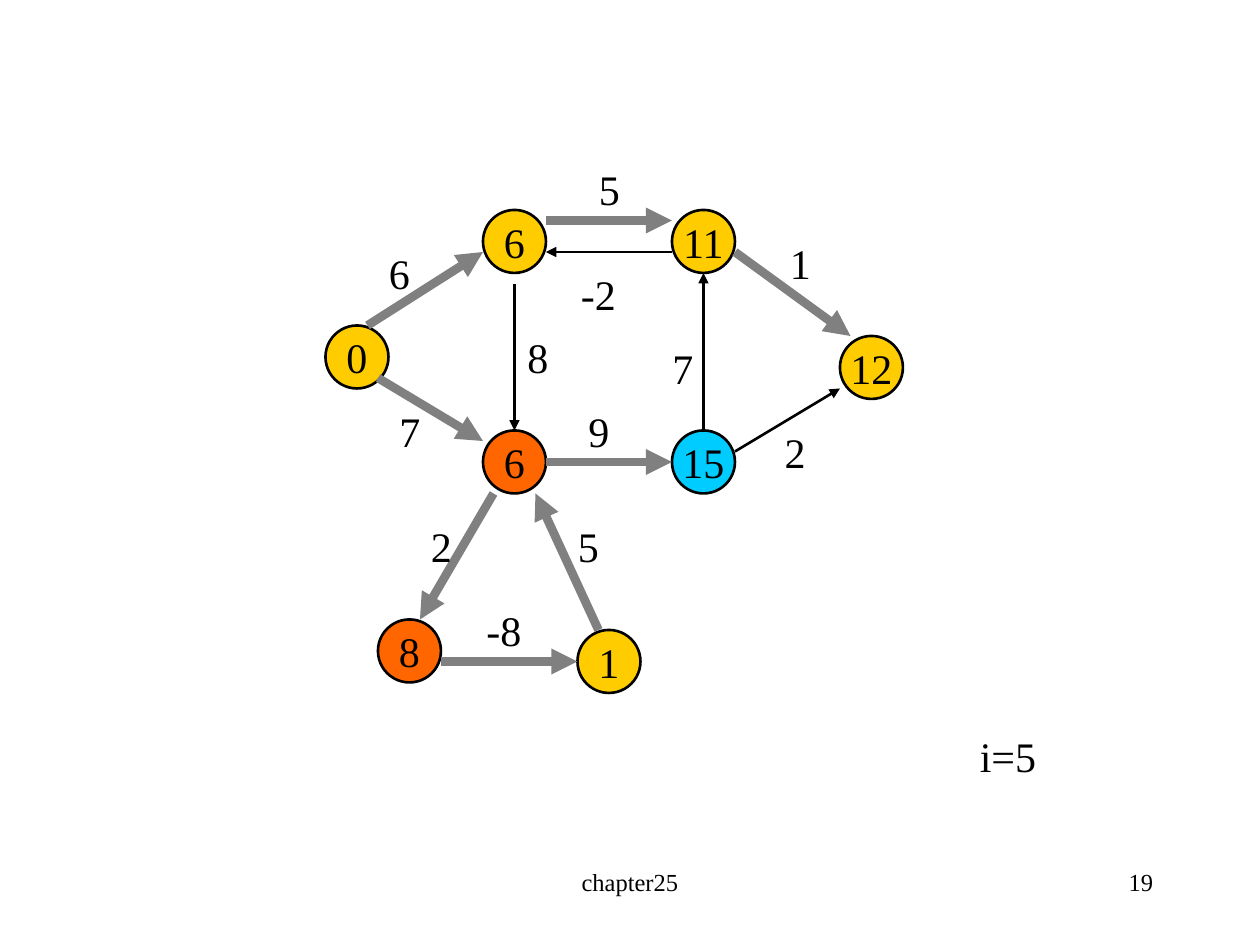
from dataclasses import dataclass

from lxml.etree import SubElement
from pptx import Presentation
from pptx.dml.color import RGBColor
from pptx.enum.shapes import MSO_CONNECTOR, MSO_SHAPE
from pptx.enum.text import MSO_ANCHOR, PP_ALIGN
from pptx.oxml.ns import qn
from pptx.util import Inches, Pt


@dataclass(frozen=True)
class Theme:
    font: str = "Times New Roman"
    ink: RGBColor = RGBColor(0x00, 0x00, 0x00)
    tree: RGBColor = RGBColor(0x80, 0x80, 0x80)
    yellow: RGBColor = RGBColor(0xFF, 0xCC, 0x00)
    orange: RGBColor = RGBColor(0xFF, 0x66, 0x00)
    blue: RGBColor = RGBColor(0x00, 0xCC, 0xFF)
    graph_size: Pt = Pt(24)
    footer_size: Pt = Pt(14)
    thin: Pt = Pt(1.5)
    thick: Pt = Pt(5)


THEME = Theme()
COLUMNS, ROWS = 120, 90
NODE = 6

# column, row, distance, fill
NODES = [
    (31, 31, "0", THEME.yellow),
    (46, 41, "6", THEME.orange),
    (46, 20, "6", THEME.yellow),
    (64, 41, "15", THEME.blue),
    (80, 32, "12", THEME.yellow),
    (64, 20, "11", THEME.yellow),
    (55, 60, "1", THEME.yellow),
    (36, 59, "8", THEME.orange),
]

# start, end, weight, weight centre, whether the edge is in the tree
EDGES = [
    ((35, 31), (46, 24), "6", (38, 26), True),
    ((36, 36), (46, 42), "7", (39, 41), True),
    ((52, 21), (64, 21), "5", (58, 18), True),
    ((64, 24), (52, 24), "-2", (57, 28), False),
    ((49, 27), (49, 41), "8", (51.2, 34), False),
    ((52, 44), (64, 44), "9", (57, 41), True),
    ((67, 41), (67, 26), "7", (65, 35), False),
    ((70, 24), (81, 32), "1", (76.2, 25), True),
    ((70, 43), (80, 37), "2", (75.7, 43), False),
    ((47, 47), (40, 59), "2", (42, 52), True),
    ((42, 63), (55, 63), "-8", (48, 60), True),
    ((57, 60), (51, 47), "5", (56, 52), True),
]


class GraphSlide:
    def __init__(self, presentation, theme):
        self.theme = theme
        self.slide = presentation.slides.add_slide(presentation.slide_layouts[6])
        self.column = presentation.slide_width / COLUMNS
        self.row = presentation.slide_height / ROWS
        self.node_tops = {}

    def place(self, *cells):
        """Turn alternating columns and rows into slide lengths."""
        units = (self.column, self.row) * 2
        return [round(cell * unit) for cell, unit in zip(cells, units)]

    def fill_text(self, shape, text, size, alignment=PP_ALIGN.CENTER, **frame_format):
        frame = shape.text_frame
        for name, value in frame_format.items():
            setattr(frame, name, value)
        paragraph = frame.paragraphs[0]
        paragraph.text = text
        paragraph.alignment = alignment
        for name, value in {"name": self.theme.font, "size": size}.items():
            setattr(paragraph.font, name, value)
        paragraph.font.color.rgb = self.theme.ink

    def text(self, left, top, width, height, text, size, **text_format):
        box = self.slide.shapes.add_textbox(*self.place(left, top, width, height))
        self.fill_text(box, text, size, **{"word_wrap": True, **text_format})

    def node(self, left, top, distance, fill):
        shape = self.slide.shapes.add_shape(
            MSO_SHAPE.OVAL, *self.place(left, top, NODE, NODE))
        shape.shadow.inherit = False
        shape.fill.solid()
        shape.fill.fore_color.rgb = fill
        shape.line.color.rgb = self.theme.ink
        shape.line.width = self.theme.thin
        self.fill_text(shape, distance, self.theme.graph_size,
                       word_wrap=False, vertical_anchor=MSO_ANCHOR.MIDDLE)
        self.node_tops[left + NODE / 2, top] = shape

    def edge(self, start, end, in_tree):
        """Draw an arrow, joined to a node where it meets the node's top."""
        connector = self.slide.shapes.add_connector(
            MSO_CONNECTOR.STRAIGHT, *self.place(*start, *end))
        connector.line.color.rgb = self.theme.tree if in_tree else self.theme.ink
        connector.line.width = self.theme.thick if in_tree else self.theme.thin
        shape_properties = connector.element.spPr
        SubElement(shape_properties.find(qn("a:ln")), qn("a:tailEnd"), type="triangle")
        SubElement(shape_properties, qn("a:effectLst"))
        if start in self.node_tops:
            connector.begin_connect(self.node_tops[start], 0)
        if end in self.node_tops:
            connector.end_connect(self.node_tops[end], 0)

    def weight(self, centre, text):
        width = 2.8 + 1.5 * len(text)
        self.text(centre[0] - width / 2, centre[1] - NODE / 2, width, NODE, text,
                  self.theme.graph_size, word_wrap=False,
                  vertical_anchor=MSO_ANCHOR.MIDDLE)


def main():
    presentation = Presentation()
    presentation.slide_width, presentation.slide_height = Inches(10), Inches(7.5)
    graph = GraphSlide(presentation, THEME)

    graph.text(41, 82, 38, 6, "chapter25", THEME.footer_size)
    graph.text(86, 82, 25, 6, "19", THEME.footer_size, alignment=PP_ALIGN.RIGHT)
    for node in NODES:
        graph.node(*node)
    for start, end, _, _, in_tree in EDGES:
        graph.edge(start, end, in_tree)
    for _, _, weight, centre, _ in EDGES:
        graph.weight(centre, weight)
    graph.text(87, 69, 18, 6, "i=5", THEME.graph_size)

    presentation.save("out.pptx")


if __name__ == "__main__":
    main()
